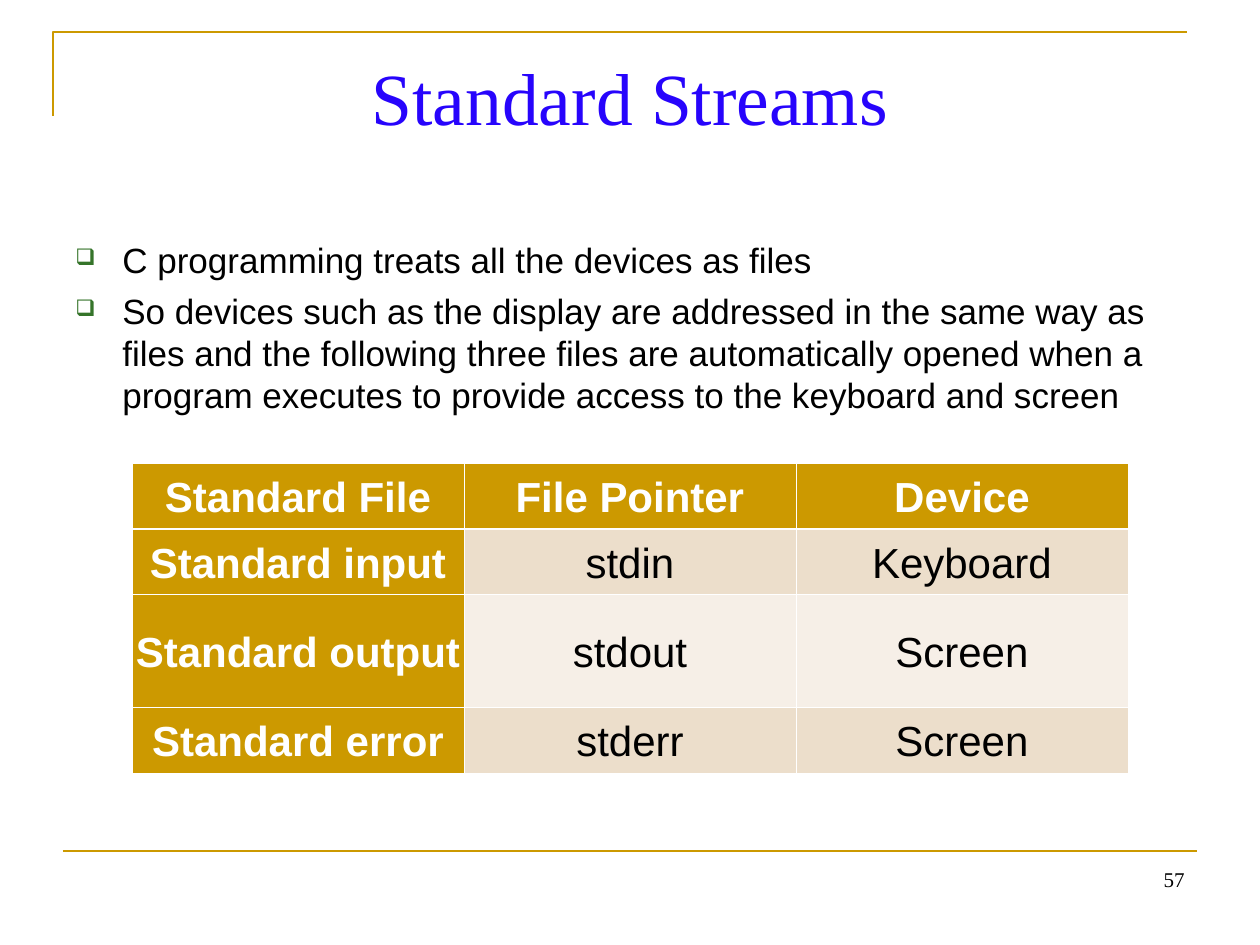
from lxml import etree
from pptx import Presentation
from pptx import util as u
from pptx.dml.color import RGBColor
from pptx.enum import shapes, text
from pptx.oxml import ns

PX = 914400 // 126  # EMU in one px
GOLD, WHITE, BLACK = "CC9900", "FFFFFF", "000000"
BLUE, GREEN = "2704FC", "35742A"
BANDS = ["ECDECB", "F6EFE7"]

TITLE = "Standard Streams"
BULLETS = [
    "C programming treats all the devices as files",
    "So devices such as the display are addressed in the same way as files "
    "and the following three files are automatically opened when a program "
    "executes to provide access to the keyboard and screen",
]
STREAMS = [
    ("Standard File", "File Pointer", "Device"),
    ("Standard input", "stdin", "Keyboard"),
    ("Standard output", "stdout", "Screen"),
    ("Standard error", "stderr", "Screen"),
]
ROW_HEIGHTS = [62, 62, 113, 62]
COLUMN_WIDTH = 332
PAGE_NUMBER = "57"


def px(length):
    return u.Emu(length * PX)


def color(value):
    return RGBColor.from_string(value)


def add_element(parent, tag, **attributes):
    return etree.SubElement(parent, ns.qn(tag), attributes)


def set_font(paragraph, name, size, value, bold=False):
    font = paragraph.font
    font.name, font.size, font.bold = name, u.Pt(size), bold
    font.color.rgb = color(value)


def style_line(shape):
    shape.line.color.rgb = color(GOLD)
    shape.line.width = u.Pt(1.5)


def add_text(left, top, width, height, lines, inset_top=6):
    box = slide.shapes.add_textbox(px(left), px(top), px(width), px(height))
    frame = box.text_frame
    frame.word_wrap = True
    frame.margin_top = px(inset_top)
    frame.text = "\n".join(lines)
    return frame.paragraphs


def add_bullet(paragraph):
    properties = paragraph._p.get_or_add_pPr()
    properties.set("marL", str(px(47)))
    properties.set("indent", str(px(-47)))
    bullet_color = add_element(properties, "a:buClr")
    add_element(bullet_color, "a:srgbClr", val=GREEN)
    add_element(properties, "a:buSzPct", val="65000")
    add_element(properties, "a:buChar", char="❑")


def set_borders(cell, widths):
    properties = cell._tc.get_or_add_tcPr()
    for index, (side, width) in enumerate(widths.items()):
        border = etree.Element(ns.qn(f"a:ln{side}"), w=str(u.Pt(width)))
        fill = add_element(border, "a:solidFill")
        add_element(fill, "a:srgbClr", val=WHITE)
        properties.insert(index, border)


presentation = Presentation()
presentation.slide_width, presentation.slide_height = px(1260), px(945)
slide = presentation.slides.add_slide(presentation.slide_layouts[6])

# Corner frame and footer rule
builder = slide.shapes.build_freeform(53, 116, scale=PX)
builder.add_line_segments([(53, 32), (1187, 32)], close=False)
corner = builder.convert_to_shape()
corner.shadow.inherit = False
corner.fill.background()
style_line(corner)

rule = slide.shapes.add_connector(
    shapes.MSO_CONNECTOR.STRAIGHT, px(63), px(851), px(1197), px(851))
add_element(rule._element.spPr, "a:effectLst")
style_line(rule)

# Title
title = add_text(63, 38, 1134, 157, [TITLE], inset_top=14)[0]
title.alignment = text.PP_ALIGN.CENTER
set_font(title, "Times New Roman", 42, BLUE)

# Bullets
for index, paragraph in enumerate(add_text(63, 231, 1134, 190, BULLETS, inset_top=8)):
    add_bullet(paragraph)
    paragraph.line_spacing = u.Pt(24)
    paragraph.space_before = u.Pt(5 if index else 0)
    set_font(paragraph, "Arial", 20, BLACK)

# Table of streams
columns = len(STREAMS[0])
table = slide.shapes.add_table(
    len(STREAMS), columns, px(132), px(463),
    px(columns * COLUMN_WIDTH), px(sum(ROW_HEIGHTS))).table
for column in table.columns:
    column.width = px(COLUMN_WIDTH)
for row_index, (labels, height) in enumerate(zip(STREAMS, ROW_HEIGHTS)):
    table.rows[row_index].height = px(height)
    for column_index, label in enumerate(labels):
        heading = row_index == 0 or column_index == 0
        cell = table.cell(row_index, column_index)
        cell.text = label
        cell.vertical_anchor = text.MSO_ANCHOR.MIDDLE
        cell.margin_left = cell.margin_right = px(1)
        cell.margin_top = cell.margin_bottom = px(6)
        cell.fill.solid()
        cell.fill.fore_color.rgb = color(GOLD if heading else BANDS[(row_index - 1) % 2])
        set_borders(cell, {"L": 0.45, "R": 0.45,
                           "T": 1.47 if row_index == 1 else 0.45,
                           "B": 1.47 if row_index == 0 else 0.45})
        paragraph = cell.text_frame.paragraphs[0]
        paragraph.alignment = text.PP_ALIGN.CENTER
        paragraph.line_spacing = 1.07
        paragraph.space_after = u.Pt(8)
        set_font(paragraph, "Arial", 24, WHITE if heading else BLACK, heading)

# Page number
number = add_text(903, 861, 294, 66, [PAGE_NUMBER])[0]
number.alignment = text.PP_ALIGN.RIGHT
set_font(number, "Times New Roman", 12, BLACK)

presentation.save("out.pptx")
